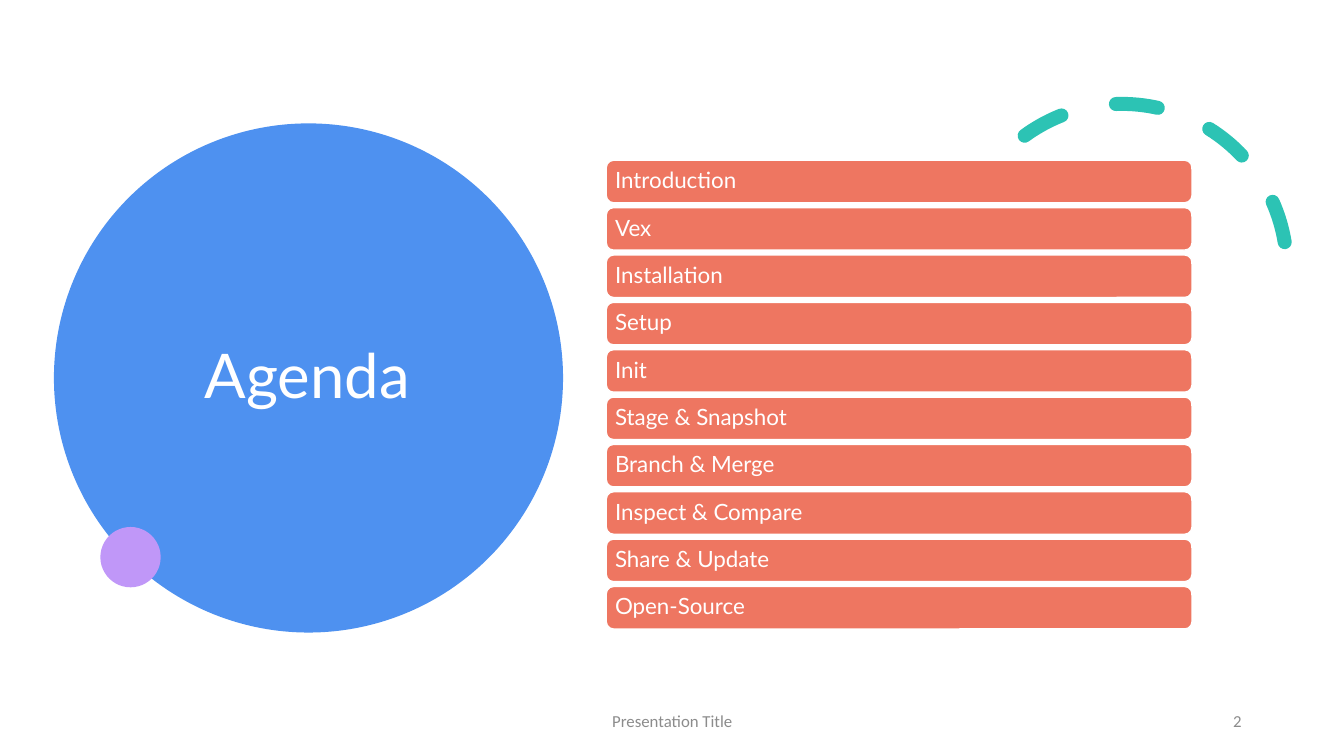
from dataclasses import dataclass

from lxml.etree import SubElement
from pptx import Presentation
from pptx.dml.color import RGBColor
from pptx.enum.dml import MSO_LINE_DASH_STYLE as Dash
from pptx.enum.shapes import MSO_AUTO_SHAPE_TYPE as Preset
from pptx.enum.text import MSO_ANCHOR as Anchor, MSO_AUTO_SIZE as AutoSize, PP_ALIGN as Align
from pptx.oxml.ns import qn
from pptx.shapes.autoshape import Shape
from pptx.slide import Slide
from pptx.util import Cm, Pt


@dataclass(frozen=True)
class Theme:
    blue: str = "4E91F0"
    teal: str = "2CC3B4"
    violet: str = "C097F8"
    coral: str = "EE7661"
    white: str = "FFFFFF"
    grey: str = "8C8C8C"
    heading_font: str = "Lato"
    footer_font: str = "Calibri"
    title_size: int = 44
    topic_size: int = 16
    footer_size: int = 12


@dataclass(frozen=True)
class Box:
    """Position and size in centimetres."""
    left: float
    top: float
    width: float
    height: float

    def lengths(self) -> tuple[Cm, Cm, Cm, Cm]:
        return Cm(self.left), Cm(self.top), Cm(self.width), Cm(self.height)


@dataclass(frozen=True)
class TextStyle:
    font: str
    size: int
    color: str
    align: Align
    line_spacing: float = 1.0


@dataclass(frozen=True)
class Disc:
    box: Box
    color: str


@dataclass(frozen=True)
class FooterItem:
    text: str
    box: Box
    align: Align


THEME = Theme()
TITLE_STYLE = TextStyle(THEME.heading_font, THEME.title_size, THEME.white, Align.CENTER, 0.9)
TOPIC_STYLE = TextStyle(THEME.heading_font, THEME.topic_size, THEME.white, Align.LEFT, 0.9)

TITLE_BOX = Box(3.25, 3.89, 8.99, 11.3)
ARC_BOX = Box(24.12, 2.62, 8.31, 8.31)
DISCS = [
    Disc(Box(1.36, 3.11, 12.83, 12.83), THEME.blue),
    Disc(Box(2.53, 13.28, 1.52, 1.52), THEME.violet),
]

TOPICS = [
    "Introduction", "Vex", "Installation", "Setup", "Init",
    "Stage & Snapshot", "Branch & Merge", "Inspect & Compare",
    "Share & Update", "Open-Source",
]
FIRST_BAR = Box(15.28, 4.04, 14.76, 1.07)
LAST_BAR_TOP = 14.78

FOOTER = [
    FooterItem("Presentation Title", Box(11.23, 17.65, 11.43, 1.02), Align.CENTER),
    FooterItem("2", Box(23.92, 17.65, 7.62, 1.02), Align.RIGHT),
]


def rgb(color: str) -> RGBColor:
    return RGBColor.from_string(color)


def write(target: Shape, text: str, style: TextStyle) -> None:
    frame = target.text_frame
    frame.word_wrap = True
    frame.auto_size = AutoSize.NONE
    frame.vertical_anchor = Anchor.MIDDLE
    paragraph = frame.paragraphs[0]
    paragraph.alignment = style.align
    paragraph.line_spacing = style.line_spacing
    run = paragraph.add_run()
    run.text = text
    run.font.name = style.font
    run.font.size = Pt(style.size)
    run.font.color.rgb = rgb(style.color)


def add_filled(slide: Slide, preset: Preset, box: Box, color: str) -> Shape:
    filled = slide.shapes.add_shape(preset, *box.lengths())
    filled.shadow.inherit = False
    filled.fill.solid()
    filled.fill.fore_color.rgb = rgb(color)
    filled.line.fill.background()
    return filled


def add_dashed_arc(slide: Slide) -> None:
    arc = slide.shapes.add_shape(Preset.ARC, *ARC_BOX.lengths())
    arc.shadow.inherit = False
    arc.rotation = 330.2
    arc.adjustments[0] = 158.17
    arc.adjustments[1] = 17.81
    arc.fill.background()
    arc.line.color.rgb = rgb(THEME.teal)
    arc.line.width = Pt(10)
    arc.line.dash_style = Dash.DASH
    # Round the ends of the dashes
    outline = arc._element.spPr.find(qn("a:ln"))
    outline.set("cap", "rnd")
    SubElement(outline, qn("a:round"))


def add_title(slide: Slide) -> None:
    title = slide.shapes.title
    title.left, title.top, title.width, title.height = TITLE_BOX.lengths()
    write(title, "Agenda", TITLE_STYLE)
    # Bring the title in front of the discs
    slide.shapes._spTree.append(title._element)


def add_topic(slide: Slide, topic: str, box: Box) -> None:
    bar = add_filled(slide, Preset.ROUNDED_RECTANGLE, box, THEME.coral)
    bar.line.color.rgb = rgb(THEME.white)
    bar.line.width = Pt(1)
    write(bar, topic, TOPIC_STYLE)
    frame = bar.text_frame
    frame.margin_left = frame.margin_right = Cm(0.17)
    frame.margin_top = frame.margin_bottom = Cm(0)


def add_footer(slide: Slide, item: FooterItem) -> None:
    footer = slide.shapes.add_textbox(*item.box.lengths())
    write(footer, item.text, TextStyle(THEME.footer_font, THEME.footer_size, THEME.grey, item.align))


def main() -> None:
    deck = Presentation()
    deck.slide_width, deck.slide_height = Cm(33.87), Cm(19.05)
    slide = deck.slides.add_slide(deck.slide_layouts[5])
    slide.background.fill.solid()
    slide.background.fill.fore_color.rgb = rgb(THEME.white)

    # Decoration and title
    for disc in DISCS:
        add_filled(slide, Preset.OVAL, disc.box, disc.color)
    add_dashed_arc(slide)
    add_title(slide)

    # Agenda topics, evenly spaced
    pitch = (LAST_BAR_TOP - FIRST_BAR.top) / (len(TOPICS) - 1)
    for row, topic in enumerate(TOPICS):
        top = FIRST_BAR.top + row * pitch
        add_topic(slide, topic, Box(FIRST_BAR.left, top, FIRST_BAR.width, FIRST_BAR.height))

    # Footer
    for item in FOOTER:
        add_footer(slide, item)

    deck.save("out.pptx")


if __name__ == "__main__":
    main()
